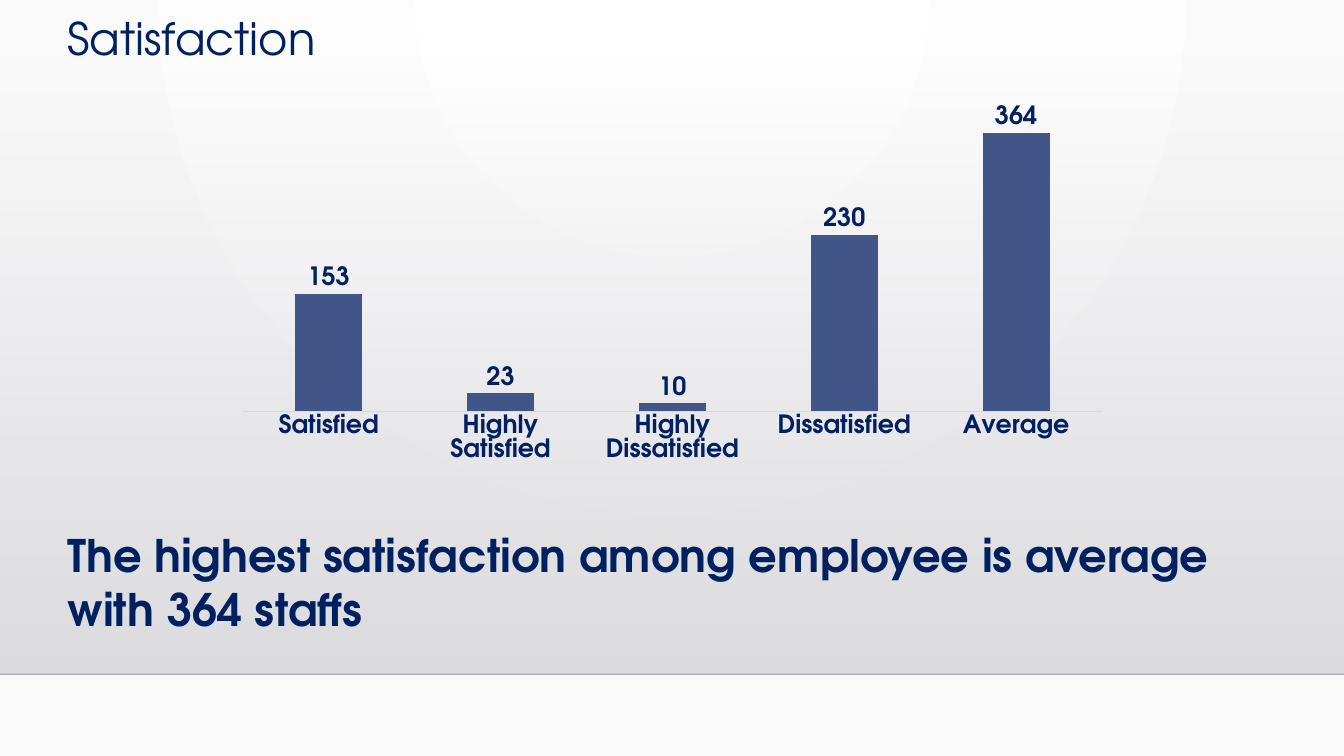
"""Build the employee satisfaction slide with its column chart."""
from dataclasses import dataclass

from lxml.etree import SubElement
from pptx import Presentation
from pptx.chart.data import CategoryChartData
from pptx.dml.color import RGBColor
from pptx.dml.fill import FillFormat
from pptx.enum.chart import XL_CHART_TYPE, XL_LABEL_POSITION, XL_TICK_LABEL_POSITION, XL_TICK_MARK
from pptx.enum.shapes import MSO_CONNECTOR, MSO_SHAPE
from pptx.enum.text import MSO_ANCHOR, PP_ALIGN
from pptx.oxml.ns import qn
from pptx.slide import Slide
from pptx.text.text import Font
from pptx.util import Pt


@dataclass(frozen=True)
class Theme:
    font: str = "TeX Gyre Adventor"
    ink: str = "002060"
    bar: str = "415588"
    axis: str = "D9D9D9"
    edge: str = "000001"
    glow_inner: str = "FFFFFF"
    glow_outer: str = "FAFAFA"
    band_top: str = "DCDCE0"
    band_bottom: str = "DEDEE2"
    heading_size: float = 32
    chart_size: float = 18


@dataclass(frozen=True)
class Box:
    left: float
    top: float
    width: float
    height: float

    def place(self) -> tuple[Pt, Pt, Pt, Pt]:
        return Pt(self.left), Pt(self.top), Pt(self.width), Pt(self.height)


@dataclass(frozen=True)
class TextBlock:
    text: str
    box: Box
    anchor: MSO_ANCHOR
    bold: bool = False
    line_spacing: float = 1.0


THEME = Theme()
SLIDE_WIDTH, SLIDE_HEIGHT = 960, 540
BAND = Box(0, 36.7, SLIDE_WIDTH, 445)
CHART = Box(160.6, 69.8, 639.4, 265)
TITLE = TextBlock("Satisfaction", Box(41, 9.4, 891.4, 40.3), MSO_ANCHOR.MIDDLE, line_spacing=0.9)
FINDING = TextBlock(
    "The highest satisfaction among employee is average with 364 staffs",
    Box(41, 373.7, 891.4, 85), MSO_ANCHOR.TOP, bold=True)
RESPONSES = {
    "Satisfied": 153,
    "Highly Satisfied": 23,
    "Highly Dissatisfied": 10,
    "Dissatisfied": 230,
    "Average": 364,
}


def color(value: str) -> RGBColor:
    return RGBColor.from_string(value)


def style_font(font: Font, size: float, bold: bool) -> None:
    font.name = THEME.font
    font.size = Pt(size)
    font.bold = bold
    font.color.rgb = color(THEME.ink)


def set_alpha(parent, percent: int) -> None:
    for color_element in parent.iter(qn("a:srgbClr")):
        SubElement(color_element, qn("a:alpha"), val=str(percent * 1000))


def apply_gradient(fill: FillFormat, start: str, end: str) -> None:
    fill.gradient()
    fill.gradient_angle = 270
    for stop, position, value in zip(fill.gradient_stops, (0, 1), (start, end)):
        stop.position = position
        stop.color.rgb = color(value)


def paint_background(slide: Slide) -> None:
    apply_gradient(slide.background.fill, THEME.glow_inner, THEME.glow_outer)
    gradient = next(slide.element.iter(qn("a:gradFill")))
    gradient.remove(gradient.find(qn("a:lin")))
    glow = SubElement(gradient, qn("a:path"))
    glow.set("path", "circle")
    SubElement(glow, qn("a:fillToRect"), l="43000", t="0", r="43000", b="100000")


def add_band(slide: Slide) -> None:
    band = slide.shapes.add_shape(MSO_SHAPE.RECTANGLE, *BAND.place())
    band.shadow.inherit = False
    band.line.fill.background()
    apply_gradient(band.fill, THEME.band_top, THEME.band_bottom)
    set_alpha(next(band.element.iter(qn("a:gs"))), 0)

    bottom = Pt(BAND.top + BAND.height)
    edge = slide.shapes.add_connector(MSO_CONNECTOR.STRAIGHT, 0, bottom, Pt(SLIDE_WIDTH), bottom)
    edge.line.width = Pt(1)
    edge.line.color.rgb = color(THEME.edge)
    set_alpha(edge.element.spPr, 20)
    SubElement(edge.element.spPr, qn("a:effectLst"))


def write_text(shape, block: TextBlock) -> None:
    shape.left, shape.top, shape.width, shape.height = block.box.place()
    frame = shape.text_frame
    frame.text = block.text
    frame.word_wrap = True
    frame.vertical_anchor = block.anchor
    paragraph = frame.paragraphs[0]
    paragraph.alignment = PP_ALIGN.LEFT
    paragraph.line_spacing = block.line_spacing
    style_font(paragraph.font, THEME.heading_size, block.bold)


def add_response_chart(slide: Slide) -> None:
    data = CategoryChartData(number_format="0")
    data.categories = list(RESPONSES)
    data.add_series("Series 1", list(RESPONSES.values()))
    chart = slide.shapes.add_chart(XL_CHART_TYPE.COLUMN_CLUSTERED, *CHART.place(), data).chart
    chart.has_title = False
    chart.has_legend = False
    style_font(chart.font, THEME.chart_size, True)

    value_axis = chart.value_axis
    value_axis.minimum_scale, value_axis.maximum_scale = 0, 400
    value_axis.has_major_gridlines = False
    value_axis.visible = False

    category_axis = chart.category_axis
    category_axis.major_tick_mark = XL_TICK_MARK.NONE
    category_axis.tick_label_position = XL_TICK_LABEL_POSITION.NEXT_TO_AXIS
    category_axis.format.line.color.rgb = color(THEME.axis)
    category_axis.format.line.width = Pt(0.75)
    style_font(category_axis.tick_labels.font, THEME.chart_size, True)

    plot = chart.plots[0]
    plot.gap_width = 157
    plot.overlap = -27
    plot.vary_by_categories = False
    fill = plot.series[0].format.fill
    fill.solid()
    fill.fore_color.rgb = color(THEME.bar)

    plot.has_data_labels = True
    labels = plot.data_labels
    labels.show_value = True
    labels.position = XL_LABEL_POSITION.OUTSIDE_END
    labels.number_format = "0"
    labels.number_format_is_linked = False
    style_font(labels.font, THEME.chart_size, True)


def main() -> None:
    presentation = Presentation()
    presentation.slide_width, presentation.slide_height = Pt(SLIDE_WIDTH), Pt(SLIDE_HEIGHT)
    slide = presentation.slides.add_slide(presentation.slide_layouts.get_by_name("Title Only"))
    paint_background(slide)
    add_band(slide)
    title = slide.shapes.title
    title.element.getparent().append(title.element)
    write_text(title, TITLE)
    write_text(slide.shapes.add_textbox(*FINDING.box.place()), FINDING)
    add_response_chart(slide)
    presentation.save("out.pptx")


if __name__ == "__main__":
    main()
